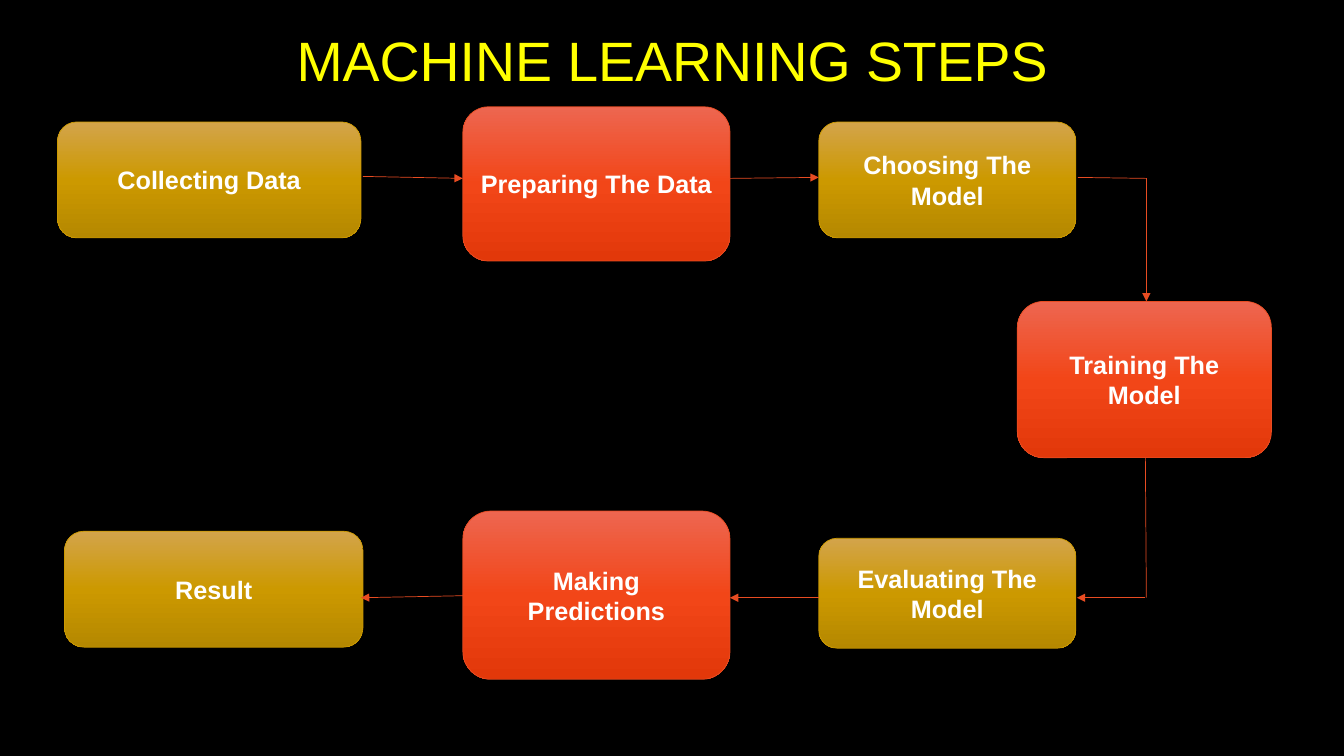
from copy import deepcopy
from dataclasses import dataclass

from pptx import Presentation
from pptx import util as u
from pptx.dml import color as c
from pptx.enum import shapes, text
from pptx.oxml import ns, xmlchemy

COLORS = {
    "background": "000000",
    "title": "FFFF00",
    "label": "FFFFFF",
    "gold": "CC9900",
    "orange": "E84C22",
}
GRADIENTS = {
    "gold": ("D3A44B", "CC9900", "B58800"),
    "orange": ("ED6650", "F24618", "E2380A"),
}
TITLE_FONT = {"name": "Arial", "size": u.Pt(39.6), "bold": False}
LABEL_FONT = {"name": "Arial", "size": u.Pt(18), "bold": True}
FRAME = {
    "word_wrap": True,
    "auto_size": text.MSO_AUTO_SIZE.NONE,
    "vertical_anchor": text.MSO_ANCHOR.MIDDLE,
}


@dataclass
class Step:
    label: str
    left: float
    top: float
    width: float
    height: float
    tone: str


@dataclass
class Link:
    start: tuple[float, float]
    end: tuple[float, float]
    arrow: bool = True


STEPS = [
    Step("Collecting Data", 0.57, 1.21, 3.01, 1.15, "gold"),
    Step("Preparing The Data", 4.59, 1.06, 2.65, 1.53, "orange"),
    Step("Choosing The Model", 8.12, 1.21, 2.55, 1.15, "gold"),
    Step("Training The Model", 10.09, 2.99, 2.52, 1.55, "orange"),
    Step("Evaluating The Model", 8.12, 5.34, 2.55, 1.09, "gold"),
    Step("Making Predictions", 4.59, 5.07, 2.65, 1.67, "orange"),
    Step("Result", 0.64, 5.27, 2.96, 1.15, "gold"),
]
LINKS = [
    Link((3.6, 1.75), (4.59, 1.77)),
    Link((7.24, 1.77), (8.12, 1.76)),
    Link((10.69, 1.76), (11.37, 1.77), arrow=False),
    Link((11.37, 1.77), (11.37, 2.99)),
    Link((11.36, 4.54), (11.37, 5.93), arrow=False),
    Link((11.36, 5.93), (10.68, 5.93)),
    Link((8.12, 5.93), (7.24, 5.93)),
    Link((4.59, 5.91), (3.58, 5.93)),
]


def rgb(name: str) -> c.RGBColor:
    return c.RGBColor.from_string(COLORS[name])


def apply(target, values: dict) -> None:
    for name, value in values.items():
        setattr(target, name, value)


def write(box, label: str, font: dict, color: str) -> None:
    apply(box.text_frame, FRAME)
    para = box.text_frame.paragraphs[0]
    para.alignment = text.PP_ALIGN.CENTER
    span = para.add_run()
    span.text = label
    apply(span.font, font)
    span.font.color.rgb = rgb(color)


def draw_line(line, color: str) -> None:
    line.color.rgb = rgb(color)
    line.width = u.Pt(0.5)


def fill_gradient(box, tone: str) -> None:
    box.fill.gradient()
    box.fill.gradient_angle = 270
    stop_list = box.element.spPr.find(ns.qn("a:gradFill")).find(ns.qn("a:gsLst"))
    stop_list.insert(1, deepcopy(stop_list[0]))
    for index, (stop, color) in enumerate(zip(box.fill.gradient_stops, GRADIENTS[tone])):
        stop.position = index / 2
        stop.color.rgb = c.RGBColor.from_string(color)


def add_step(page, step: Step) -> None:
    bounds = map(u.Inches, (step.left, step.top, step.width, step.height))
    box = page.shapes.add_shape(shapes.MSO_SHAPE.ROUNDED_RECTANGLE, *bounds)
    box.shadow.inherit = False
    fill_gradient(box, step.tone)
    draw_line(box.line, step.tone)
    write(box, step.label, LABEL_FONT, "label")


def add_link(page, link: Link) -> None:
    ends = map(u.Inches, link.start + link.end)
    connector = page.shapes.add_connector(shapes.MSO_CONNECTOR.STRAIGHT, *ends)
    draw_line(connector.line, "orange")
    properties = connector.element.spPr
    if link.arrow:
        head = xmlchemy.OxmlElement("a:tailEnd")
        head.set("type", "triangle")
        properties.find(ns.qn("a:ln")).append(head)
    properties.append(xmlchemy.OxmlElement("a:effectLst"))


def add_title(page, label: str) -> None:
    title = page.shapes.title
    bounds = {"left": 0.92, "top": 0.3, "width": 11.5, "height": 0.57}
    apply(title, {name: u.Inches(value) for name, value in bounds.items()})
    write(title, label, TITLE_FONT, "title")


deck = Presentation()
apply(deck, {"slide_width": u.Inches(13.33), "slide_height": u.Inches(7.5)})
page = deck.slides.add_slide(deck.slide_layouts.get_by_name("Title Only"))
page.background.fill.solid()
page.background.fill.fore_color.rgb = rgb("background")
add_title(page, "MACHINE LEARNING STEPS")
for step in STEPS:
    add_step(page, step)
for link in LINKS:
    add_link(page, link)
deck.save("out.pptx")
